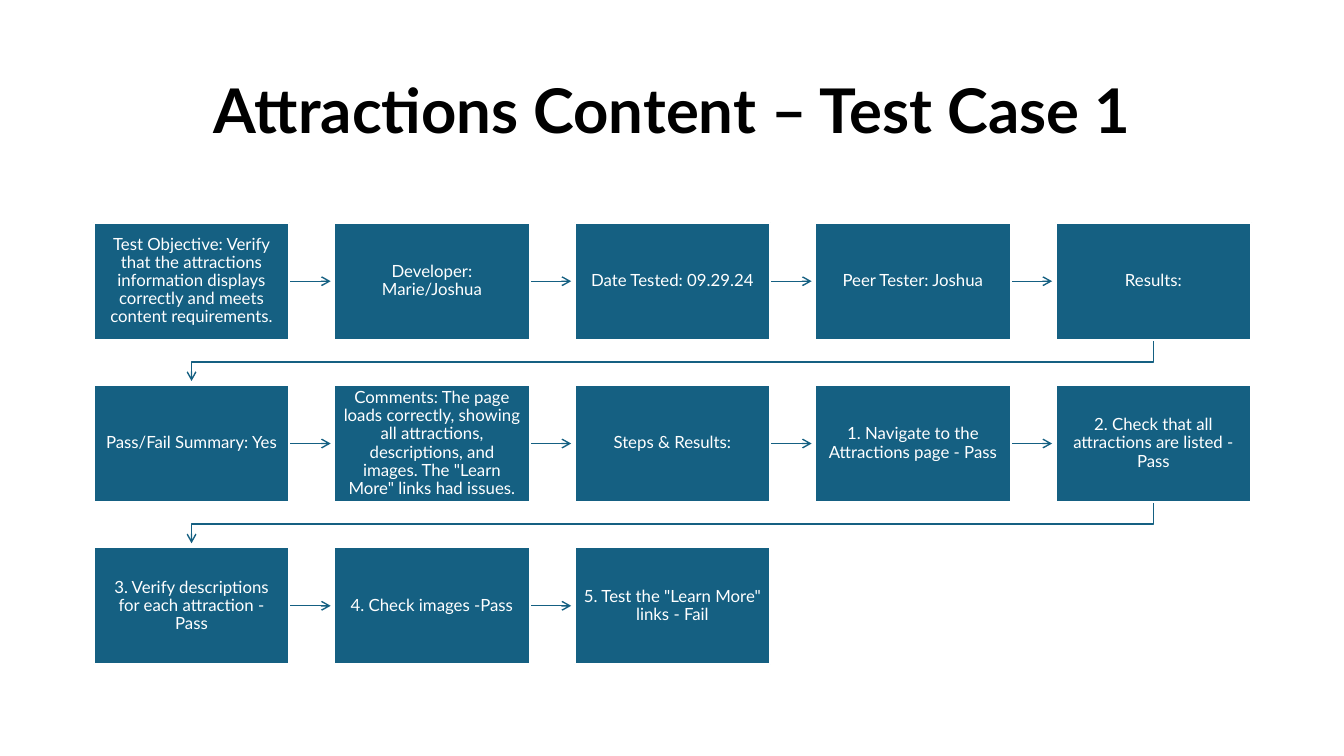
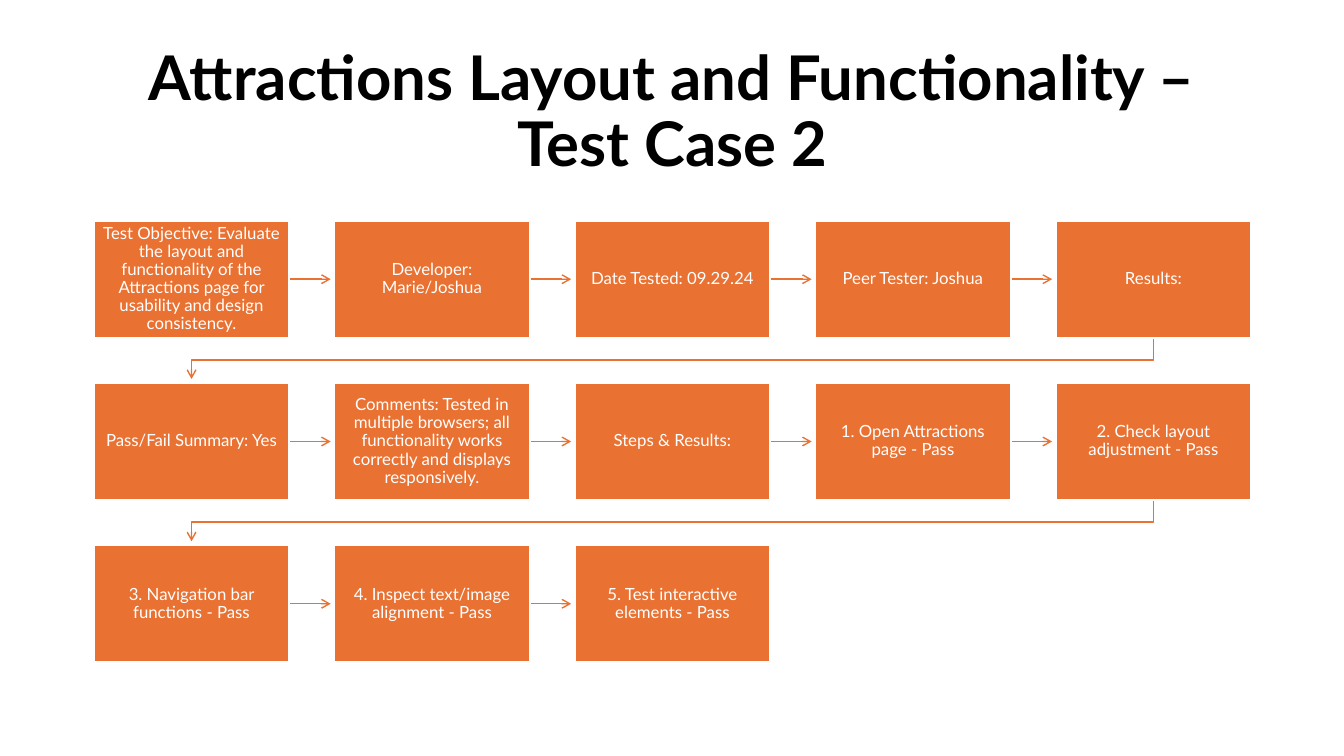
"""Build two test case slides, each a title above a snaking flow of boxes."""
from lxml import etree
from pptx import Presentation
from pptx import util as u
from pptx.dml import color
from pptx.enum import shapes, text
from pptx.oxml import ns

PX = 9144
COLUMNS = 5
LEFT, BOX_WIDTH, BOX_HEIGHT = 93, 194, 116
RIGHT, ROW_PITCH = 1241, 161
ARROW_LENGTH, ELBOW_DROP = 41, 22

CASES = [
    ("Attractions Content – Test Case 1", "156082", 221, [
        "Test Objective: Verify that the attractions information displays correctly and meets content requirements.",
        "Developer: Marie/Joshua",
        "Date Tested: 09.29.24",
        "Peer Tester: Joshua",
        "Results:",
        "Pass/Fail Summary: Yes",
        "Comments: The page loads correctly, showing all attractions, descriptions, and images. "
        'The "Learn More" links had issues.',
        "Steps & Results:",
        "1. Navigate to the Attractions page - Pass",
        "2. Check that all attractions are listed - Pass",
        "3. Verify descriptions for each attraction - Pass",
        "4. Check images -Pass",
        '5. Test the "Learn More" links - Fail',
    ]),
    ("Attractions Layout and Functionality – Test Case 2", "E97132", 219, [
        "Test Objective: Evaluate the layout and functionality of the Attractions page "
        "for usability and design consistency.",
        "Developer: Marie/Joshua",
        "Date Tested: 09.29.24",
        "Peer Tester: Joshua",
        "Results:",
        "Pass/Fail Summary: Yes",
        "Comments: Tested in multiple browsers; all functionality works correctly and displays responsively.",
        "Steps & Results:",
        "1. Open Attractions page - Pass",
        "2. Check layout adjustment - Pass",
        "3. Navigation bar functions - Pass",
        "4. Inspect text/image alignment - Pass",
        "5. Test interactive elements - Pass",
    ]),
]


def px(*lengths):
    """Turn pixel lengths into EMU."""
    return [u.Emu(round(length * PX)) for length in lengths]


def rgb(code):
    """Turn a hex string into a colour."""
    return color.RGBColor.from_string(code)


def write(frame, words, *, size, ink, bold=False, insets=(10, 5)):
    """Fill a text frame with one centred paragraph."""
    frame.word_wrap = True
    frame.vertical_anchor = text.MSO_ANCHOR.MIDDLE
    side, end = px(*insets)
    frame.margin_left = frame.margin_right = side
    frame.margin_top = frame.margin_bottom = end
    para = frame.paragraphs[0]
    para.alignment = text.PP_ALIGN.CENTER
    para.line_spacing = 0.9
    span = para.add_run()
    span.text = words
    span.font.name = "Lato"
    span.font.size = u.Pt(size)
    span.font.bold = bold
    span.font.color.rgb = rgb(ink)


class Deck:
    """Hold the shared style and the current page."""

    def __init__(self):
        """Start an empty widescreen deck."""
        self.show = Presentation()
        self.show.slide_width, self.show.slide_height = px(1333, 750)
        self.page = None
        self.accent = None

    def new_page(self, accent):
        """Add a blank page with its accent colour."""
        self.page = self.show.slides.add_slide(self.show.slide_layouts[6])
        self.accent = accent

    def title(self, words):
        """Write the page title."""
        box = self.page.shapes.add_textbox(*px(92, 40, 1150, 145))
        write(box.text_frame, words, size=44, ink="000000", bold=True)

    def box(self, left, top, words):
        """Draw one step of the flow."""
        box = self.page.shapes.add_shape(
            shapes.MSO_SHAPE.RECTANGLE, *px(left, top, BOX_WIDTH, BOX_HEIGHT))
        box.shadow.inherit = False
        box.fill.solid()
        box.fill.fore_color.rgb = rgb(self.accent)
        box.line.color.rgb = rgb("FFFFFF")
        box.line.width = u.Pt(1.5)
        write(box.text_frame, words, size=12, ink="FFFFFF", insets=(9, 10))

    def arrowhead(self, arrow):
        """Style a line and point its end."""
        arrow.line.color.rgb = rgb(self.accent)
        arrow.line.width = u.Pt(1)
        properties = arrow._element.spPr
        line = properties.find(ns.qn("a:ln"))
        etree.SubElement(line, ns.qn("a:tailEnd"), type="arrow")
        etree.SubElement(properties, ns.qn("a:effectLst"))

    def arrow(self, left, top):
        """Lead from a box to its right neighbour."""
        self.arrowhead(self.page.shapes.add_connector(
            shapes.MSO_CONNECTOR.STRAIGHT, *px(left, top, left + ARROW_LENGTH, top)))

    def elbow(self, start, end, top):
        """Lead from the last box of a row to the first of the next."""
        bend = top + ELBOW_DROP
        corners = [(start, bend), (end, bend), (end, top + ARROW_LENGTH)]
        outline = self.page.shapes.build_freeform(*px(start, top))
        outline.add_line_segments([px(*corner) for corner in corners], close=False)
        elbow = outline.convert_to_shape()
        elbow.fill.background()
        self.arrowhead(elbow)

    def flow(self, first_top, steps):
        """Lay the steps out row by row, joined by arrows."""
        pitch = (RIGHT - BOX_WIDTH - LEFT) / (COLUMNS - 1)
        middle = BOX_WIDTH / 2
        for number, words in enumerate(steps):
            row, column = divmod(number, COLUMNS)
            left = LEFT + column * pitch
            top = first_top + row * ROW_PITCH
            if number < len(steps) - 1:
                if column < COLUMNS - 1:
                    self.arrow(left + BOX_WIDTH, top + BOX_HEIGHT / 2)
                else:
                    self.elbow(left + middle, LEFT + middle, top + BOX_HEIGHT)
            self.box(left, top, words)


def main():
    """Build and save the deck."""
    deck = Deck()
    for title, accent, first_top, steps in CASES:
        deck.new_page(accent)
        deck.title(title)
        deck.flow(first_top, steps)
    deck.show.save("out.pptx")


if __name__ == "__main__":
    main()
